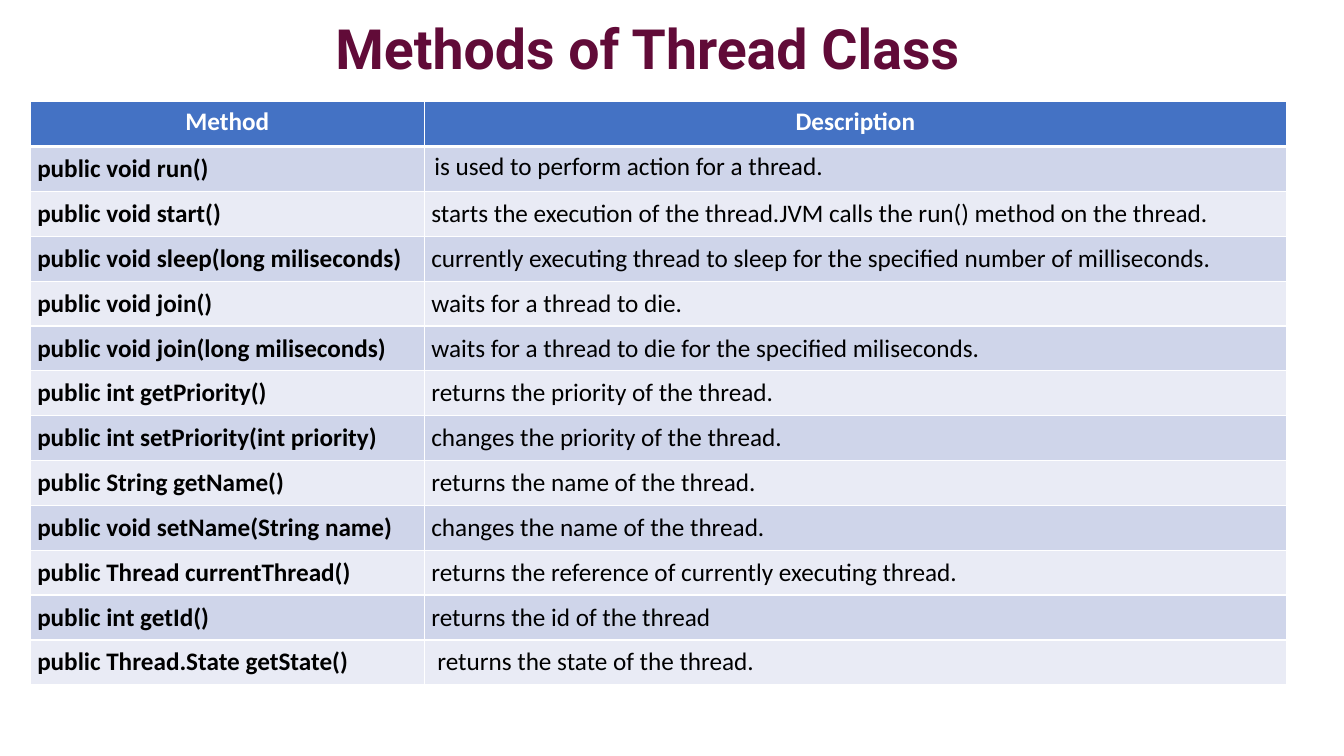
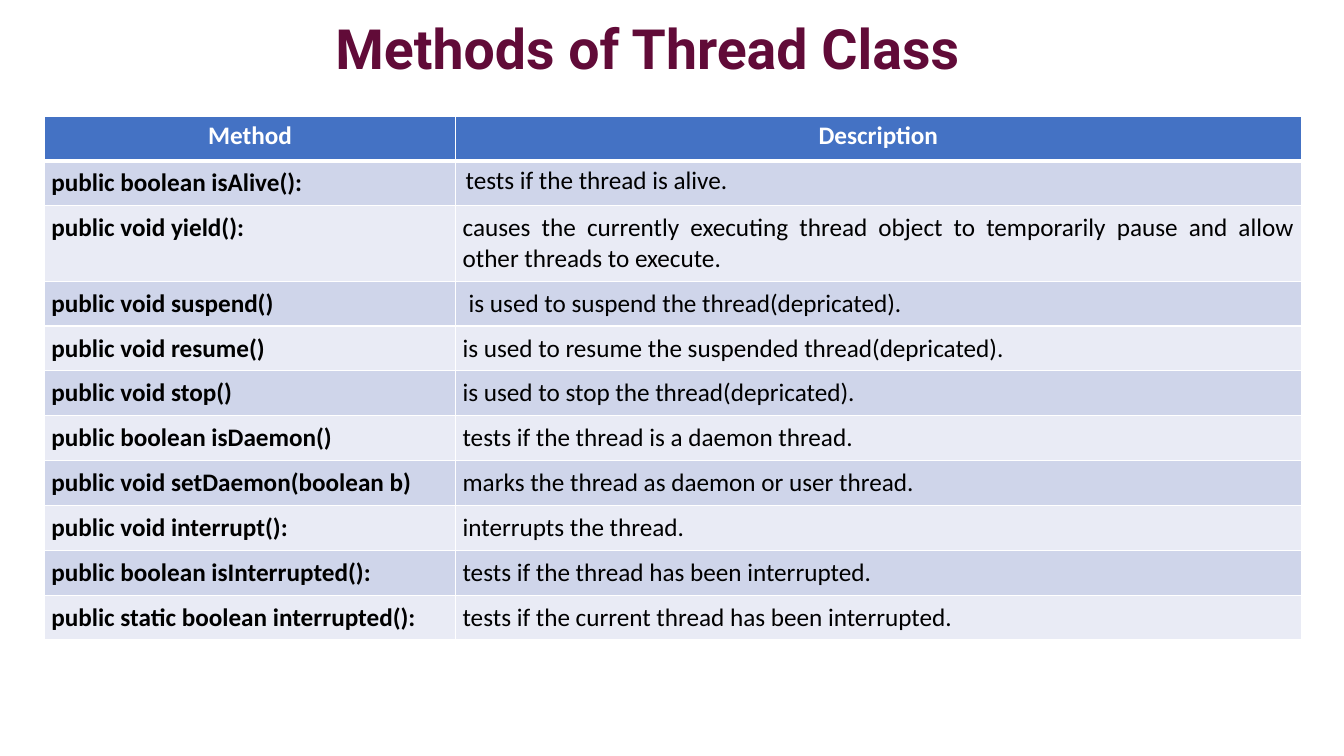
from dataclasses import dataclass
from typing import Any

from lxml import etree
from pptx import Presentation
from pptx.dml.color import RGBColor
from pptx.enum.text import MSO_ANCHOR, MSO_AUTO_SIZE, PP_ALIGN
from pptx.oxml.ns import qn
from pptx.util import Emu, Pt

CENTER, LEFT, JUSTIFY = PP_ALIGN.CENTER, PP_ALIGN.LEFT, PP_ALIGN.JUSTIFY
TOP, MIDDLE = MSO_ANCHOR.TOP, MSO_ANCHOR.MIDDLE
NO_AUTOFIT = MSO_AUTO_SIZE.NONE

PX_PER_INCH = 200
EMU_PER_PX = 914400 // PX_PER_INCH
SLIDE_SIZE = (2667, 1500)
TITLE_ONLY = 5

PLUM, BLUE, WHITE, BLACK = "610B38", "4472C4", "FFFFFF", "000000"
BANDS = ("CFD5EA", "E9EBF5")

HEADING = "Methods of Thread Class"
COLUMN_HEADS = ("Method", "Description")
TITLE_BOX = {"left": 88, "top": 28, "width": 2394, "height": 148}
ROW_HEIGHT, TWO_LINE_HEIGHT = 89, 148
THIN, THICK = 1, 3


@dataclass(frozen=True)
class Insets:
    left: int
    top: int
    right: int
    bottom: int


HEAD_INSETS = Insets(20, 10, 20, 10)
BODY_INSETS = Insets(14, 14, 14, 14)
INDENTED_INSETS = Insets(26, 14, 14, 14)


@dataclass(frozen=True)
class Method:
    signature: str
    description: str
    height: int = ROW_HEIGHT
    insets: Insets = BODY_INSETS
    align: Any = JUSTIFY


@dataclass(frozen=True)
class MethodTable:
    left: int
    top: int
    columns: tuple[int, int]
    methods: tuple[Method, ...]


@dataclass(frozen=True)
class CellStyle:
    fill: str
    color: str
    bold: bool
    align: Any
    insets: Insets
    top_line: int = THIN
    bottom_line: int = THIN


METHOD_TABLES = (
    MethodTable(60, 202, (782, 1711), (
        Method("public void run()", "is used to perform action for a thread.",
               insets=HEAD_INSETS, align=LEFT),
        Method("public void start()",
               "starts the execution of the thread.JVM calls the run() method on the thread."),
        Method("public void sleep(long miliseconds)",
               "currently executing thread to sleep for the specified number of milliseconds."),
        Method("public void join()", "waits for a thread to die."),
        Method("public void join(long miliseconds)",
               "waits for a thread to die for the specified miliseconds."),
        Method("public int getPriority()", "returns the priority of the thread."),
        Method("public int setPriority(int priority)", "changes the priority of the thread."),
        Method("public String getName()", "returns the name of the thread."),
        Method("public void setName(String name)", "changes the name of the thread."),
        Method("public Thread currentThread()",
               "returns the reference of currently executing thread."),
        Method("public int getId()", "returns the id of the thread"),
        Method("public Thread.State getState()", "returns the state of the thread.",
               insets=INDENTED_INSETS),
    )),
    MethodTable(88, 230, (816, 1678), (
        Method("public boolean isAlive():", "tests if the thread is alive.",
               insets=HEAD_INSETS, align=LEFT),
        Method("public void yield():",
               "causes the currently executing thread object to temporarily pause "
               "and allow other threads to execute.", height=TWO_LINE_HEIGHT),
        Method("public void suspend()", "is used to suspend the thread(depricated).",
               insets=INDENTED_INSETS),
        Method("public void resume()", "is used to resume the suspended thread(depricated)."),
        Method("public void stop()", "is used to stop the thread(depricated)."),
        Method("public boolean isDaemon()", "tests if the thread is a daemon thread."),
        Method("public void setDaemon(boolean b)", "marks the thread as daemon or user thread."),
        Method("public void interrupt():", "interrupts the thread."),
        Method("public boolean isInterrupted():", "tests if the thread has been interrupted."),
        Method("public static boolean interrupted():",
               "tests if the current thread has been interrupted."),
    )),
)


def px(length: int) -> Emu:
    return Emu(length * EMU_PER_PX)


def rgb(color: str) -> RGBColor:
    return RGBColor.from_string(color)


def apply_format(target: Any, values: dict[str, Any]) -> None:
    for attribute, value in values.items():
        setattr(target, attribute, value)


def write_text(paragraph: Any, text: str, color: str, font: dict[str, Any],
               layout: dict[str, Any]) -> None:
    run = paragraph.add_run()
    run.text = text
    apply_format(paragraph, layout)
    apply_format(run.font, font)
    run.font.color.rgb = rgb(color)


def draw_title(slide: Any) -> None:
    title = slide.shapes.title
    apply_format(title, {side: px(length) for side, length in TITLE_BOX.items()})
    apply_format(title.text_frame, {"word_wrap": True, "auto_size": NO_AUTOFIT,
                                    "vertical_anchor": MIDDLE})
    write_text(title.text_frame.paragraphs[0], HEADING, PLUM,
               {"name": "Roboto", "size": Pt(39.6), "bold": True},
               {"alignment": CENTER, "line_spacing": 0.9})


def draw_borders(cell: Any, widths: dict[str, int]) -> None:
    properties = cell._tc.get_or_add_tcPr()
    for position, (side, width) in enumerate(widths.items()):
        border = etree.Element(qn(f"a:ln{side}"), w=str(Pt(width)))
        paint = etree.SubElement(border, qn("a:solidFill"))
        etree.SubElement(paint, qn("a:srgbClr"), val=WHITE)
        properties.insert(position, border)


def draw_cell(cell: Any, text: str, style: CellStyle) -> None:
    insets = style.insets
    apply_format(cell, {
        "margin_left": px(insets.left), "margin_top": px(insets.top),
        "margin_right": px(insets.right), "margin_bottom": px(insets.bottom),
        "vertical_anchor": TOP,
    })
    cell.fill.solid()
    cell.fill.fore_color.rgb = rgb(style.fill)
    draw_borders(cell, {"L": THIN, "R": THIN, "T": style.top_line, "B": style.bottom_line})
    write_text(cell.text_frame.paragraphs[0], text, style.color,
               {"name": "Calibri", "size": Pt(18), "bold": style.bold},
               {"alignment": style.align})


def draw_methods(slide: Any, listing: MethodTable) -> None:
    heights = [ROW_HEIGHT] + [method.height for method in listing.methods]
    grid = slide.shapes.add_table(
        len(heights), len(listing.columns), px(listing.left), px(listing.top),
        px(sum(listing.columns)), px(sum(heights))).table
    for column, width in zip(grid.columns, listing.columns):
        column.width = px(width)
    for row, height in zip(grid.rows, heights):
        row.height = px(height)

    head_style = CellStyle(BLUE, WHITE, True, CENTER, HEAD_INSETS, bottom_line=THICK)
    for column_index, head in enumerate(COLUMN_HEADS):
        draw_cell(grid.cell(0, column_index), head, head_style)

    for index, method in enumerate(listing.methods):
        band = BANDS[index % len(BANDS)]
        top_line = THIN if index else THICK
        draw_cell(grid.cell(index + 1, 0), method.signature,
                  CellStyle(band, BLACK, True, LEFT, BODY_INSETS, top_line))
        draw_cell(grid.cell(index + 1, 1), method.description,
                  CellStyle(band, BLACK, False, method.align, method.insets, top_line))


def main() -> None:
    deck = Presentation()
    deck.slide_width, deck.slide_height = map(px, SLIDE_SIZE)
    for listing in METHOD_TABLES:
        slide = deck.slides.add_slide(deck.slide_layouts[TITLE_ONLY])
        draw_title(slide)
        draw_methods(slide, listing)
    deck.save("out.pptx")


if __name__ == "__main__":
    main()
